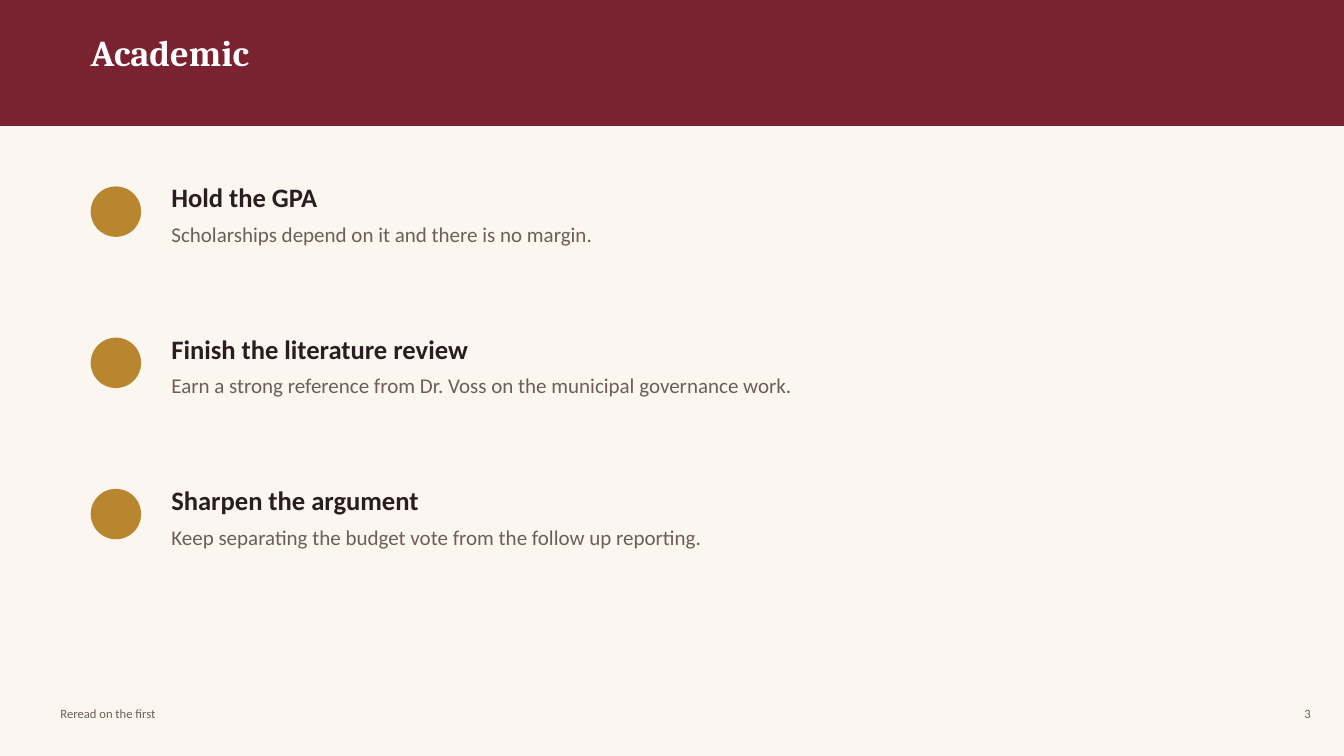
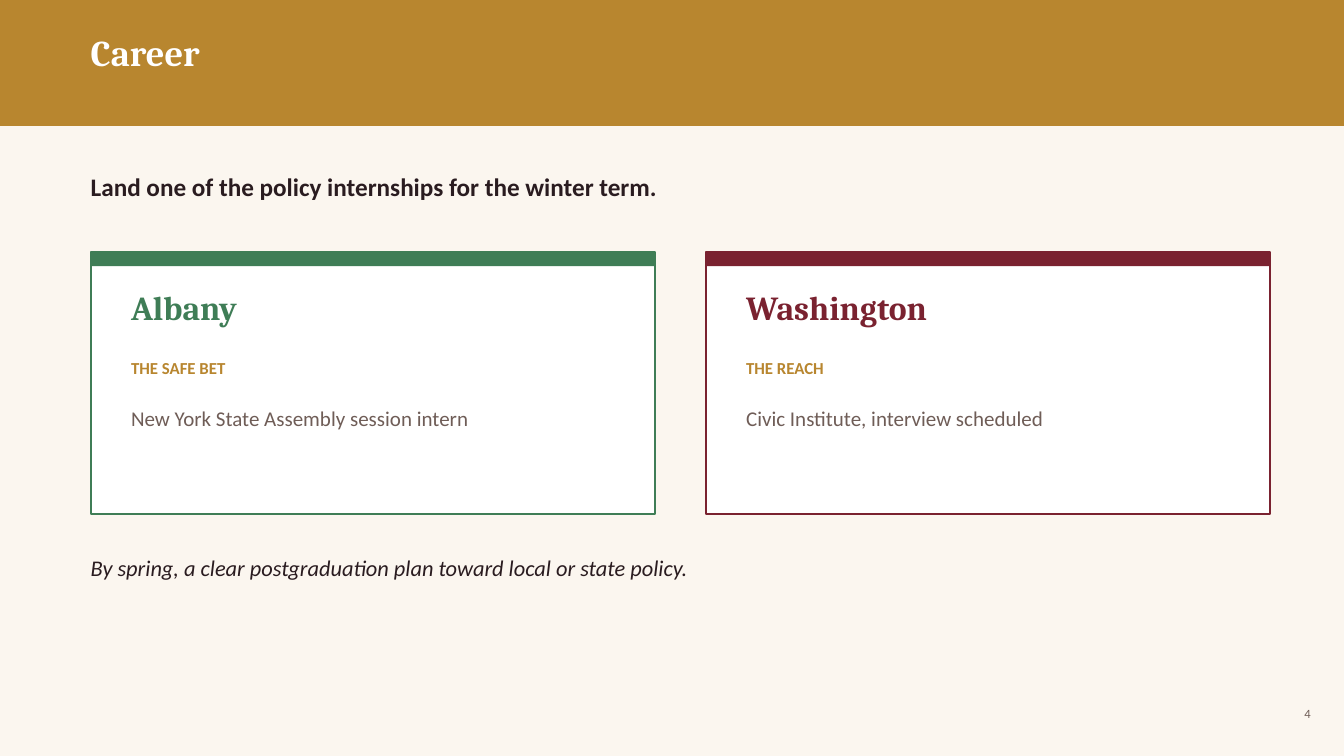
from dataclasses import dataclass

from pptx import Presentation
from pptx.dml.color import RGBColor
from pptx.enum.shapes import MSO_SHAPE
from pptx.enum.text import MSO_AUTO_SIZE, PP_ALIGN
from pptx.util import Pt

PX = 9144  # EMU per px, 100 px to the inch


@dataclass(frozen=True)
class Theme:
    cream: str = "FBF6EF"
    white: str = "FFFFFF"
    maroon: str = "7A2230"
    gold: str = "B8862F"
    green: str = "3F7D56"
    ink: str = "2A1C20"
    muted: str = "6F5D57"
    heading_font: str = "Cambria"
    body_font: str = "Calibri"
    title: int = 26
    card_title: int = 24
    goal: int = 19
    lead: int = 18
    closing: int = 16
    body: int = 15
    tag: int = 12
    footer: int = 9


theme = Theme()


def add_block(page, kind, left, top, width, height, fill, outline=None):
    shape = page.shapes.add_shape(kind, left * PX, top * PX, width * PX, height * PX)
    shape.shadow.inherit = False
    shape.fill.solid()
    shape.fill.fore_color.rgb = RGBColor.from_string(fill)
    if outline:
        shape.line.color.rgb = RGBColor.from_string(outline)
        shape.line.width = Pt(1.4)
    else:
        shape.line.fill.background()


def add_text(page, left, top, width, height, lines, font=theme.body_font,
             italic=False, align=None, spacing=None):
    """Each line is (text, size, colour, bold)."""
    box = page.shapes.add_textbox(left * PX, top * PX, width * PX, height * PX)
    frame = box.text_frame
    frame.word_wrap = True
    frame.auto_size = MSO_AUTO_SIZE.SHAPE_TO_FIT_TEXT
    frame.margin_left = frame.margin_right = frame.margin_top = frame.margin_bottom = 0
    for index, (text, size, colour, bold) in enumerate(lines):
        para = frame.add_paragraph() if index else frame.paragraphs[0]
        para.text = text
        para.alignment = align
        para.line_spacing = spacing
        para.space_after = Pt(6)
        para.font.name = font
        para.font.size = Pt(size)
        para.font.bold = bold
        para.font.italic = italic
        para.font.color.rgb = RGBColor.from_string(colour)


deck = Presentation()
deck.slide_width, deck.slide_height = 1333 * PX, 750 * PX
background = deck.slide_master.background.fill
background.solid()
background.fore_color.rgb = RGBColor.from_string(theme.cream)

# Shared frame: band, title and page number
pages = []
for number, (title, band) in enumerate(
        [("Academic", theme.maroon), ("Career", theme.gold)], start=3):
    page = deck.slides.add_slide(deck.slide_layouts[6])
    add_block(page, MSO_SHAPE.RECTANGLE, 0, 0, 1333, 125, band)
    add_text(page, 90, 30, 1150, 80, [(title, theme.title, theme.white, True)],
             theme.heading_font)
    add_text(page, 1240, 700, 60, 40,
             [(str(number), theme.footer, theme.muted, False)], align=PP_ALIGN.RIGHT)
    pages.append(page)
academic, career = pages

# Academic: three goals with round markers
goals = [
    ("Hold the GPA", "Scholarships depend on it and there is no margin."),
    ("Finish the literature review",
     "Earn a strong reference from Dr. Voss on the municipal governance work."),
    ("Sharpen the argument",
     "Keep separating the budget vote from the follow up reporting."),
]
for row, (goal, detail) in enumerate(goals):
    top = 180 + row * 150
    add_block(academic, MSO_SHAPE.OVAL, 90, top + 5, 50, 50, theme.gold)
    add_text(academic, 170, top, 1050, 120,
             [(goal, theme.goal, theme.ink, True),
              (detail, theme.body, theme.muted, False)])
add_text(academic, 60, 700, 1213, 40,
         [("Reread on the first", theme.footer, theme.muted, False)])

# Career: lead sentence, two option cards, closing sentence
add_text(career, 90, 170, 1150, 60,
         [("Land one of the policy internships for the winter term.",
           theme.lead, theme.ink, True)])
cards = [
    ("Albany", "THE SAFE BET", "New York State Assembly session intern", theme.green),
    ("Washington", "THE REACH", "Civic Institute, interview scheduled", theme.maroon),
]
for column, (city, tag, detail, accent) in enumerate(cards):
    left = 90 + column * 610
    add_block(career, MSO_SHAPE.RECTANGLE, left, 250, 560, 260, theme.white, accent)
    add_block(career, MSO_SHAPE.RECTANGLE, left, 250, 560, 14, accent)
    add_text(career, left + 40, 285, 490, 60,
             [(city, theme.card_title, accent, True)], theme.heading_font)
    add_text(career, left + 40, 355, 490, 50, [(tag, theme.tag, theme.gold, True)])
    add_text(career, left + 40, 400, 490, 100,
             [(detail, theme.body, theme.muted, False)], spacing=1.1)
add_text(career, 90, 550, 1150, 80,
         [("By spring, a clear postgraduation plan toward local or state policy.",
           theme.closing, theme.ink, False)], italic=True)

deck.save("out.pptx")
